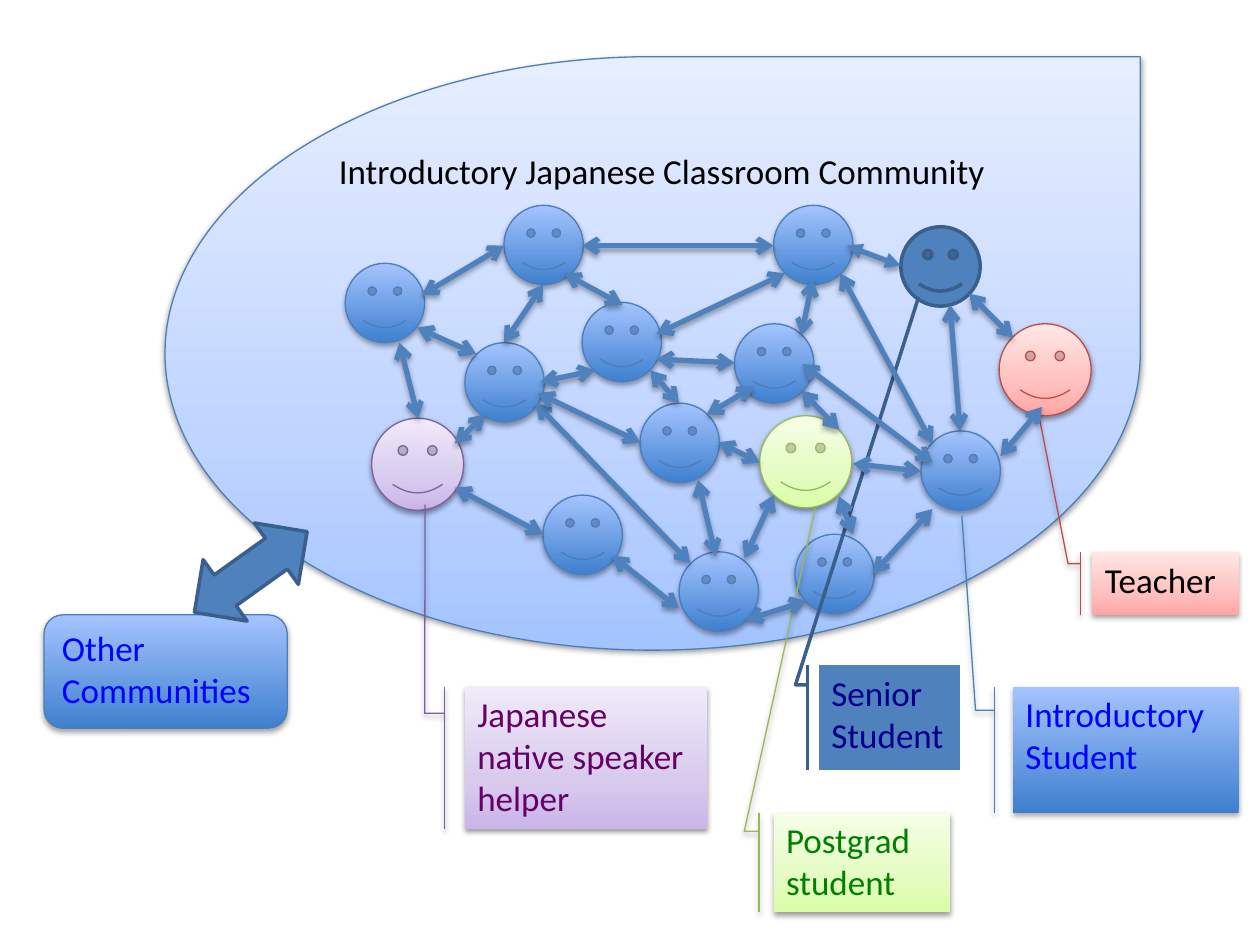
from dataclasses import dataclass
from typing import Optional

from lxml import etree
from pptx import Presentation
from pptx.dml.color import RGBColor
from pptx.enum.shapes import MSO_CONNECTOR, MSO_SHAPE
from pptx.enum.text import MSO_ANCHOR, PP_ALIGN
from pptx.oxml.ns import qn
from pptx.util import Cm, Pt

TEARDROP = MSO_SHAPE.TEAR
SMILEY = MSO_SHAPE.SMILEY_FACE
CALLOUT = MSO_SHAPE.LINE_CALLOUT_2_ACCENT_BAR
ROUNDED = MSO_SHAPE.ROUNDED_RECTANGLE
DOUBLE_ARROW = MSO_SHAPE.UP_DOWN_ARROW
STRAIGHT = MSO_CONNECTOR.STRAIGHT
LEFT, RIGHT = PP_ALIGN.LEFT, PP_ALIGN.RIGHT
TOP = MSO_ANCHOR.TOP

BLACK = RGBColor(0x00, 0x00, 0x00)
NAVY = RGBColor(0x00, 0x00, 0x90)
BLUE = RGBColor(0x00, 0x00, 0xFF)
GREEN = RGBColor(0x00, 0x80, 0x00)
PURPLE = RGBColor(0x66, 0x00, 0x66)
STEEL = RGBColor(0x4F, 0x81, 0xBD)
STEEL_EDGE = RGBColor(0x3A, 0x5F, 0x8C)
BLUE_EDGE = RGBColor(0x4B, 0x7E, 0xBC)
GREEN_EDGE = RGBColor(0x98, 0xB9, 0x55)
PURPLE_EDGE = RGBColor(0x7D, 0x60, 0xA0)
RED_EDGE = RGBColor(0xBF, 0x4C, 0x48)
BLUE_DEEP = RGBColor(0x3F, 0x80, 0xCE)
BLUE_MID = RGBColor(0xA4, 0xC4, 0xFF)
BLUE_SOFT = RGBColor(0xBF, 0xD4, 0xFF)
BLUE_PALE = RGBColor(0xE6, 0xEE, 0xFF)
GREEN_MID = RGBColor(0xDA, 0xFD, 0xA7)
GREEN_SOFT = RGBColor(0xE4, 0xFC, 0xC2)
GREEN_PALE = RGBColor(0xF5, 0xFF, 0xE7)
PURPLE_MID = RGBColor(0xC9, 0xB5, 0xE8)
PURPLE_SOFT = RGBColor(0xD8, 0xCB, 0xEE)
PURPLE_PALE = RGBColor(0xF0, 0xEA, 0xF9)
RED_MID = RGBColor(0xFF, 0xA6, 0xA5)
RED_SOFT = RGBColor(0xFF, 0xC0, 0xBF)
RED_PALE = RGBColor(0xFF, 0xE7, 0xE7)


@dataclass(frozen=True)
class Shadow:
    opacity: int
    distance: float


@dataclass(frozen=True)
class Look:
    colors: tuple
    edge: RGBColor
    edge_width: float = 0.75
    shadow: Optional[Shadow] = None


@dataclass(frozen=True)
class Callout:
    text: str
    place: tuple
    look: Look
    color: RGBColor
    tip: tuple


SOFT_SHADOW = Shadow(38, 1.6)
DEEP_SHADOW = Shadow(35, 1.8)
COMMUNITY = Look((BLUE_MID, BLUE_SOFT, BLUE_PALE), BLUE_EDGE, shadow=SOFT_SHADOW)
INTRODUCTORY = Look((BLUE_DEEP, BLUE_MID), BLUE_EDGE, shadow=DEEP_SHADOW)
POSTGRAD = Look((GREEN_MID, GREEN_SOFT, GREEN_PALE), GREEN_EDGE, shadow=SOFT_SHADOW)
HELPER = Look((PURPLE_MID, PURPLE_SOFT, PURPLE_PALE), PURPLE_EDGE, shadow=SOFT_SHADOW)
TEACHER = Look((RED_MID, RED_SOFT, RED_PALE), RED_EDGE, shadow=SOFT_SHADOW)
SENIOR = Look((STEEL,), STEEL_EDGE, 2)

SMALL_FACE, LARGE_FACE = 0.63, 0.73
FACES = [
    (4.62, 2.4, SMALL_FACE, INTRODUCTORY),
    (6.03, 3.3, LARGE_FACE, POSTGRAD),
    *[(x, y, SMALL_FACE, INTRODUCTORY) for x, y in (
        (5.08, 3.2), (6.14, 1.63), (4, 1.63), (2.74, 2.09), (6.31, 4.24), (5.83, 2.57),
        (3.69, 2.72), (7.31, 3.42), (4.31, 3.93), (5.39, 4.38))],
    (2.95, 3.32, LARGE_FACE, HELPER),
    (7.93, 2.57, LARGE_FACE, TEACHER),
    (7.15, 1.8, SMALL_FACE, SENIOR),
]
CALLOUTS = [
    Callout("Teacher", (8.67, 4.38, 1.16, 0.5), TEACHER, BLACK, (-2.084, -0.359)),
    Callout("Senior Student", (6.5, 5.28, 1.12, 0.83), SENIOR, NAVY, (-3.521, 0.706)),
    Callout("Postgrad student", (6.14, 6.45, 1.4, 0.79), POSTGRAD, GREEN, (-3.058, 0.236)),
    Callout("Japanese native speaker helper", (3.69, 5.45, 1.92, 1.13), HELPER, PURPLE,
            (-1.279, -0.165)),
    Callout("Introductory Student", (8.04, 5.45, 1.79, 1), INTRODUCTORY, BLUE,
            (-1.358, -0.227)),
]
SENIOR_LINK = (6.72, 1.95, 7.15, 2.11)
LINKS = [
    (3.35, 2.34, 4, 1.95), (7.4, 4.04, 6.93, 4.55), (4.25, 3.2, 5.48, 4.47),
    (4.62, 1.95, 6.14, 1.95), (6.67, 2.17, 7.4, 3.52), (7.69, 2.33, 8.04, 2.68),
    (4.31, 2.26, 4, 2.72), (3.17, 2.72, 3.32, 3.32), (5.98, 3.07, 5.61, 3.29),
    (6.45, 2.22, 6.36, 2.66), (4.48, 2.17, 4.94, 2.42), (5.16, 2.94, 5.39, 3.2),
    (5.54, 3.81, 5.68, 4.41), (6.66, 3.94, 6.77, 4.24), (4.86, 4.41, 5.39, 4.83),
    (3.85, 3.29, 3.61, 3.52), (3.61, 3.87, 4.31, 4.24), (7.54, 2.42, 7.62, 3.42),
    (7.94, 3.62, 8.27, 3.23), (5.21, 2.65, 6.23, 2.17), (5.91, 4.43, 6.14, 3.93),
    (4.29, 3.03, 4.72, 2.94), (6.36, 3.1, 6.66, 3.41), (6.77, 3.68, 7.31, 3.74),
    (5.7, 3.51, 6.03, 3.67), (3.31, 2.6, 3.78, 2.81), (4.27, 3.12, 5.08, 3.51),
    (6.37, 2.89, 7.4, 3.67), (5.92, 4.92, 6.4, 4.77), (5.21, 2.85, 5.83, 2.88),
]


def inches(value: float) -> Cm:
    return Cm(value * 2.54)


def add_color(parent, color: RGBColor):
    return etree.SubElement(parent, qn("a:srgbClr"), val=str(color))


def add_shadow(item, shadow: Optional[Shadow]) -> None:
    effects = etree.SubElement(item._element.spPr, qn("a:effectLst"))
    if shadow:
        outer = etree.SubElement(
            effects, qn("a:outerShdw"), blurRad=str(Pt(3.1)), dist=str(Pt(shadow.distance)),
            dir="5400000", rotWithShape="0")
        etree.SubElement(add_color(outer, BLACK), qn("a:alpha"), val=str(shadow.opacity * 1000))


def paint(shape, colors: tuple) -> None:
    if len(colors) == 1:
        shape.fill.solid()
        shape.fill.fore_color.rgb = colors[0]
        return
    shape.fill.gradient()
    shape.fill.gradient_angle = 90
    stops = shape._element.spPr.find(qn("a:gradFill")).find(qn("a:gsLst"))
    for stop in list(stops):
        stops.remove(stop)
    positions = (0, 100) if len(colors) == 2 else (0, 35, 100)
    for position, color in zip(positions, colors):
        add_color(etree.SubElement(stops, qn("a:gs"), pos=str(position * 1000)), color)


def draw_shape(page, kind, place: tuple, look: Look):
    shape = page.shapes.add_shape(kind, *map(inches, place))
    paint(shape, look.colors)
    shape.line.color.rgb = look.edge
    shape.line.width = Pt(look.edge_width)
    add_shadow(shape, look.shadow)
    return shape


def write(shape, text: str, *, color: RGBColor = BLACK, align=LEFT, size: float = 20) -> None:
    frame = shape.text_frame
    frame.word_wrap = True
    frame.vertical_anchor = TOP
    para = frame.paragraphs[0]
    para.alignment = align
    span = para.add_run()
    span.text = text
    span.font.name = "Calibri"
    span.font.size = Pt(size)
    span.font.color.rgb = color


def draw_callout(page, callout: Callout) -> None:
    box = draw_shape(page, CALLOUT, callout.place, callout.look)
    for index, value in enumerate((0.1875, -0.0833, 0.1875, -0.1667, *callout.tip)):
        box.adjustments[index] = value
    write(box, callout.text, color=callout.color)


def draw_link(page, ends: tuple, arrowhead: str = "arrow") -> None:
    link = page.shapes.add_connector(STRAIGHT, *map(inches, ends))
    link.line.color.rgb = STEEL
    link.line.width = Pt(3)
    outline = link._element.spPr.find(qn("a:ln"))
    for end in ("a:headEnd", "a:tailEnd"):
        etree.SubElement(outline, qn(end), type=arrowhead)
    add_shadow(link, DEEP_SHADOW)


def main() -> None:
    deck = Presentation()
    deck.slide_width, deck.slide_height = inches(10), inches(7.5)
    page = deck.slides.add_slide(deck.slide_layouts[6])

    community = draw_shape(page, TEARDROP, (1.31, 0.45, 7.74, 4.71), COMMUNITY)
    write(community, "Introductory Japanese Classroom Community", align=RIGHT)
    for left, top, size, look in FACES:
        draw_shape(page, SMILEY, (left, top, size, size), look)
    for callout in CALLOUTS:
        draw_callout(page, callout)
    others = draw_shape(page, ROUNDED, (0.35, 4.88, 1.93, 0.9), INTRODUCTORY)
    write(others, "Other Communities", color=BLUE)
    exchange = draw_shape(page, DOUBLE_ARROW, (1.69, 3.99, 0.6, 1.1), SENIOR)
    exchange.rotation = 54.4
    draw_link(page, SENIOR_LINK, "triangle")
    for ends in LINKS:
        draw_link(page, ends)

    deck.save("out.pptx")


if __name__ == "__main__":
    main()
